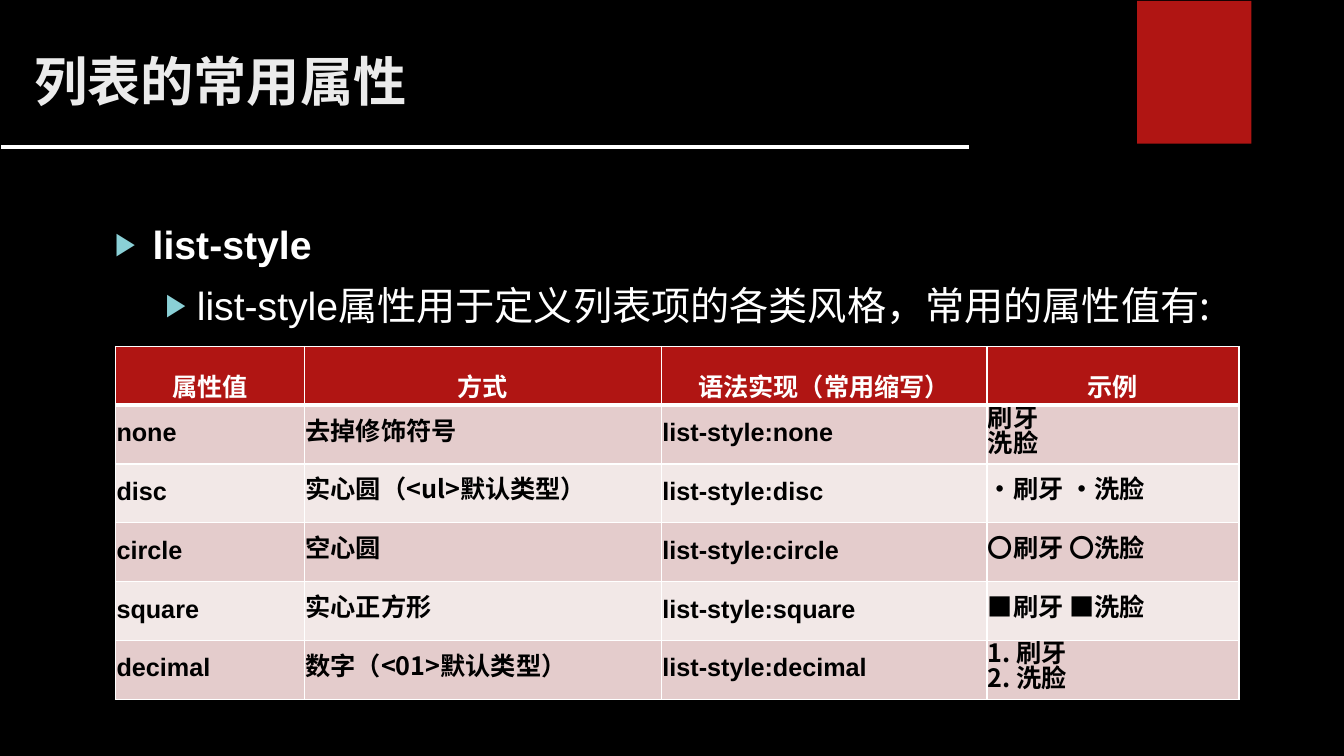
"""Build the slide on common list properties in CSS."""
from lxml import etree
from pptx import Presentation
from pptx import util as u
from pptx.dml.color import RGBColor
from pptx.enum import shapes, text
from pptx.oxml.ns import qn

PX = 9525
COLORS = {
    "background": "000000",
    "accent": "B01513",
    "white": "FFFFFF",
    "title": "EBEBEB",
    "bullet": "8AD0D6",
    "ink": "000000",
    "odd": "E4CCCC",
    "even": "F2E8E7",
}
LATIN = "Arial"
CHINESE = "Noto Sans CJK SC"
COLUMNS = (180, 340, 310, 240)
ROW_HEIGHT = 56
HEADER = ("属性值", "方式", "语法实现（常用缩写）", "示例")
STYLES = (
    ("none", "去掉修饰符号", "刷牙\n洗脸"),
    ("disc", "实心圆（<ul>默认类型）", "•刷牙 •洗脸"),
    ("circle", "空心圆", "〇刷牙 〇洗脸"),
    ("square", "实心正方形", "■刷牙 ■洗脸"),
    ("decimal", "数字（<01>默认类型）", "1. 刷牙\n2. 洗脸"),
)


def px(*lengths):
    """Turn pixel lengths into EMU."""
    return [u.Emu(length * PX) for length in lengths]


def rgb(name):
    """Look up a named colour."""
    return RGBColor.from_string(COLORS[name])


def add_element(parent, tag, **attributes):
    """Append a drawing element."""
    return etree.SubElement(parent, qn(tag), attributes)


def style_font(font, face, size, color, bold):
    """Set a font, with Chinese glyphs always in the Chinese face."""
    font.name, font.size, font.bold = face, u.Pt(size), bold
    font.color.rgb = rgb(color)
    add_element(font._element, "a:ea", typeface=CHINESE)


def add_box(page, left, top, width, height):
    """Add a wrapping text box and return its text frame."""
    box = page.shapes.add_textbox(*px(left, top, width, height))
    box.text_frame.word_wrap = True
    return box.text_frame


def add_banner(page):
    """Add the red block and the rule below the title."""
    block = page.shapes.add_shape(shapes.MSO_SHAPE.RECTANGLE, *px(1083, 1, 109, 136))
    block.shadow.inherit = False
    block.fill.solid()
    block.fill.fore_color.rgb = rgb("accent")
    block.line.fill.background()
    rule = page.shapes.add_connector(shapes.MSO_CONNECTOR.STRAIGHT, *px(1, 140, 923, 140))
    rule.line.color.rgb = rgb("white")
    rule.line.width = u.Pt(2.25)
    add_element(rule._element.spPr, "a:effectLst")


def add_title(page, title):
    """Add the slide title."""
    para = add_box(page, 23, 48, 1040, 116).paragraphs[0]
    para.text = title
    para.line_spacing = 0.9
    style_font(para.font, CHINESE, 38, "title", True)


def set_bullet(para, margin, hanging):
    """Give a paragraph a hanging triangle bullet."""
    properties = para._p.get_or_add_pPr()
    properties.set("marL", str(margin * PX))
    properties.set("indent", str(-hanging * PX))
    color = add_element(properties, "a:buClr")
    add_element(color, "a:srgbClr", val=COLORS["bullet"])
    add_element(properties, "a:buSzPct", val="80000")
    add_element(properties, "a:buFont", typeface=LATIN)
    add_element(properties, "a:buChar", char="▶")


def add_body(page):
    """Add the property name and its explanation."""
    frame = add_box(page, 100, 205, 1097, 437)
    name, explanation = frame.paragraphs[0], frame.add_paragraph()
    explanation.level = 1
    for para, margin, hanging in ((name, 36, 36), (explanation, 78, 30)):
        para.space_before = u.Pt(10)
        set_bullet(para, margin, hanging)
    name.text = "list-style"
    style_font(name.font, LATIN, 28, "white", True)
    for words, face in (
        ("list-style", LATIN),
        ("属性用于定义列表项的各类风格，常用的属性值有:", CHINESE),
    ):
        span = explanation.add_run()
        span.text = words
        style_font(span.font, face, 28, "white", False)


def set_borders(cell, top, bottom):
    """Draw white cell borders, with top and bottom widths in points."""
    properties = cell._tc.get_or_add_tcPr()
    for index, (side, width) in enumerate((("L", 1), ("R", 1), ("T", top), ("B", bottom))):
        line = add_element(properties, f"a:ln{side}", w=str(u.Pt(width)))
        fill = add_element(line, "a:solidFill")
        add_element(fill, "a:srgbClr", val=COLORS["white"])
        properties.insert(index, line)


def fill_cell(cell, words, face, row):
    """Write and format one table cell."""
    header = row == 0
    cell.text = words
    cell.vertical_anchor = text.MSO_ANCHOR.MIDDLE
    cell.margin_left = cell.margin_right = px(1)[0]
    cell.margin_top = cell.margin_bottom = 0
    cell.fill.solid()
    cell.fill.fore_color.rgb = rgb("accent" if header else "odd" if row % 2 else "even")
    set_borders(cell, 3 if row == 1 else 1, 3 if header else 1)
    for para in cell.text_frame.paragraphs:
        style_font(para.font, face, 18, "white" if header else "ink", True)
        para.line_spacing = 1.5 if header else u.Pt(18)
        if header:
            para.alignment = text.PP_ALIGN.CENTER
            para.space_before = para.space_after = u.Pt(5)


def add_style_table(page):
    """Add the table of list-style values."""
    rows = [HEADER] + [
        (value, meaning, f"list-style:{value}", sample) for value, meaning, sample in STYLES
    ]
    frame = page.shapes.add_table(
        len(rows), len(COLUMNS), *px(110, 330, sum(COLUMNS), ROW_HEIGHT * len(rows))
    )
    table = frame.table
    for column, width in zip(table.columns, px(*COLUMNS)):
        column.width = width
    for row, values in enumerate(rows):
        for column, words in enumerate(values):
            face = LATIN if row and column in (0, 2) else CHINESE
            fill_cell(table.cell(row, column), words, face, row)


def main():
    """Build and save the deck."""
    deck = Presentation()
    deck.slide_width, deck.slide_height = px(1280, 720)
    page = deck.slides.add_slide(deck.slide_layouts[6])
    page.background.fill.solid()
    page.background.fill.fore_color.rgb = rgb("background")
    add_banner(page)
    add_title(page, "列表的常用属性")
    add_body(page)
    add_style_table(page)
    deck.save("out.pptx")


if __name__ == "__main__":
    main()
